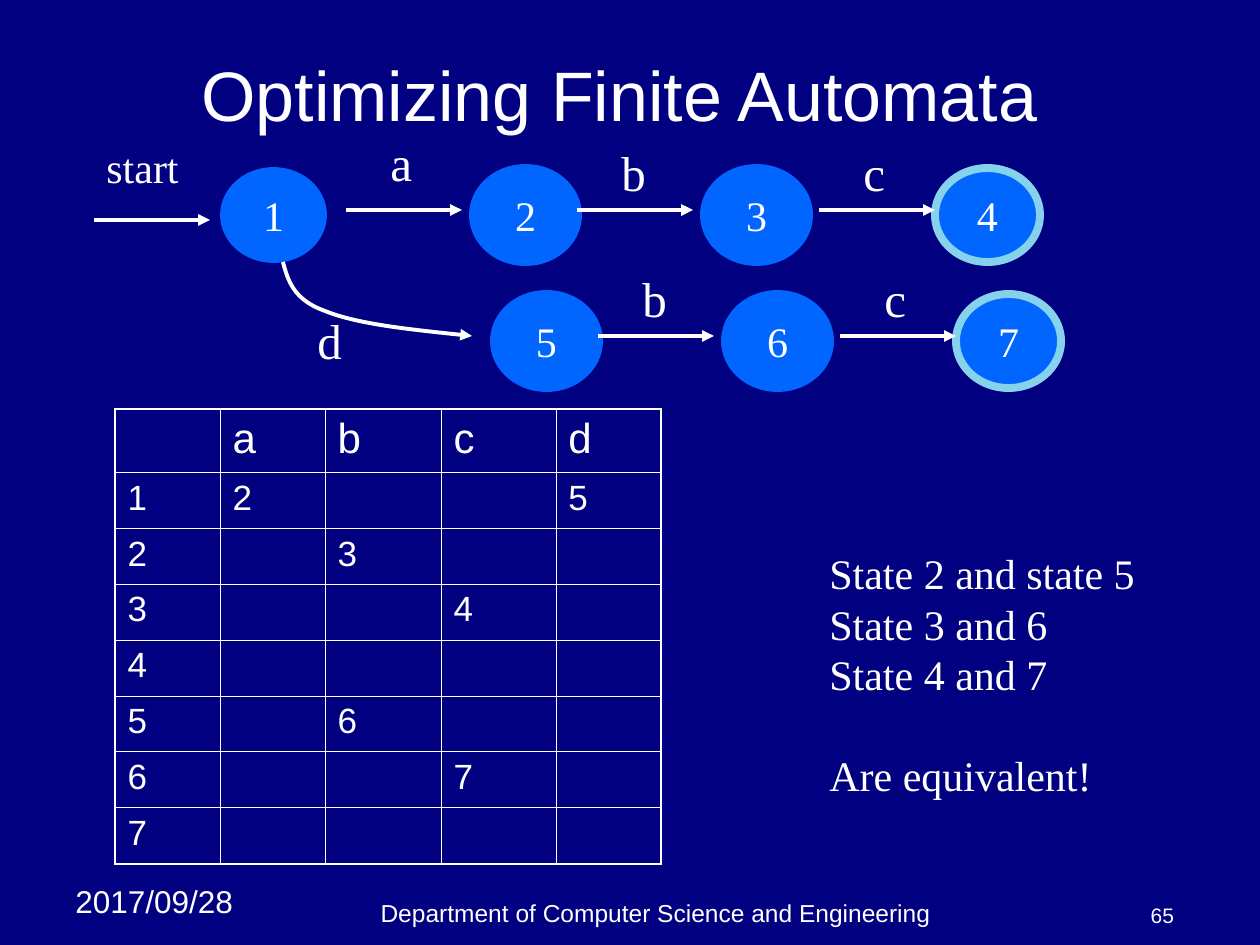
from dataclasses import dataclass
from itertools import product

from lxml.etree import SubElement
from pptx import Presentation
from pptx.dml.color import RGBColor
from pptx.enum.shapes import MSO_CONNECTOR as CONN, MSO_SHAPE as SHAPE
from pptx.enum.text import MSO_ANCHOR as ANCHOR, PP_ALIGN as ALIGN
from pptx.oxml.ns import qn
from pptx.util import Emu, Pt

EMU_PER_PX = 914400 / 126


def px(n: int) -> Emu:
    return Emu(round(n * EMU_PER_PX))


@dataclass(frozen=True)
class Theme:
    background: str = "000080"
    ink: str = "FFFFFF"
    state: str = "0066FF"
    accept: str = "86D1EC"
    sans: str = "Arial"
    serif: str = "Times New Roman"
    title: int = 40
    edge: int = 28
    body: int = 24
    cell: int = 20
    date: int = 18
    footer: int = 14
    number: int = 12
    arrow_width: float = 2.25
    state_width: float = 4.5
    outer_border: float = 1.08
    inner_border: float = 0.45


T = Theme()


@dataclass(frozen=True)
class Label:
    text: str
    x: int
    y: int
    w: int
    h: int
    size: int
    font: str = T.serif
    align: ALIGN = ALIGN.LEFT
    anchor: ANCHOR = ANCHOR.TOP
    top: int = 6
    right: int = 13


@dataclass(frozen=True)
class State:
    name: str
    x: int
    y: int
    line: str
    width: float


@dataclass(frozen=True)
class Arrow:
    x: int
    y: int
    length: int = 116


def rgb(value: str) -> RGBColor:
    return RGBColor.from_string(value)


def style(p, size: int, font: str, align: ALIGN = ALIGN.LEFT) -> None:
    p.alignment = align
    p.font.size, p.font.name = Pt(size), font
    p.font.color.rgb = rgb(T.ink)


def draw_label(shapes, label: Label):
    s = shapes.add_textbox(px(label.x), px(label.y), px(label.w), px(label.h))
    tf = s.text_frame
    tf.word_wrap, tf.vertical_anchor = True, label.anchor
    tf.margin_top, tf.margin_right = px(label.top), px(label.right)
    tf.text = label.text
    for p in tf.paragraphs:
        style(p, label.size, label.font, label.align)
    return tf


def draw_state(shapes, state: State) -> None:
    s = shapes.add_shape(SHAPE.OVAL, px(state.x), px(state.y), px(105), px(94))
    s.shadow.inherit = False
    s.fill.solid()
    s.fill.fore_color.rgb = rgb(T.state)
    s.line.color.rgb, s.line.width = rgb(state.line), Pt(state.width)
    tf = s.text_frame
    tf.word_wrap, tf.vertical_anchor = False, ANCHOR.MIDDLE
    tf.text = state.name
    style(tf.paragraphs[0], T.body, T.serif, ALIGN.CENTER)


def add_arrowhead(s) -> None:
    s.line.color.rgb, s.line.width = rgb(T.ink), Pt(T.arrow_width)
    SubElement(s.line._get_or_add_ln(), qn("a:tailEnd"), type="triangle")


def draw_arrow(shapes, arrow: Arrow) -> None:
    y = px(arrow.y)
    s = shapes.add_connector(CONN.STRAIGHT, px(arrow.x), y, px(arrow.x + arrow.length), y)
    add_arrowhead(s)
    SubElement(s._element.spPr, qn("a:effectLst"))


def draw_curve(shapes, start: tuple[int, int], points: list[tuple[int, int]]) -> None:
    """Every three points after the start make one Bezier segment."""
    builder = shapes.build_freeform(*start, scale=EMU_PER_PX)
    builder.add_line_segments(points, close=False)
    s = builder.convert_to_shape()
    s.shadow.inherit = False
    s.fill.background()
    add_arrowhead(s)
    outline = next(s._element.iter(qn("a:path")))
    lines = outline.findall(qn("a:lnTo"))
    for i in range(0, len(lines), 3):
        bezier = SubElement(outline, qn("a:cubicBezTo"))
        for line in lines[i:i + 3]:
            bezier.append(line[0])
            outline.remove(line)


def set_border(cell, side: str, width: float) -> None:
    ln = SubElement(cell._tc.get_or_add_tcPr(), qn(f"a:ln{side}"), w=str(Pt(width)))
    SubElement(SubElement(ln, qn("a:solidFill")), qn("a:srgbClr"), val=T.ink)


def draw_table(shapes, x: int, y: int, widths: list[int], heights: list[int],
               values: dict[tuple[int, int], str]) -> None:
    rows, cols = len(heights), len(widths)
    table = shapes.add_table(rows, cols, px(x), px(y), px(sum(widths)), px(sum(heights))).table
    table.first_row = table.horz_banding = False
    for column, w in zip(table.columns, widths):
        column.width = px(w)
    for row, h in zip(table.rows, heights):
        row.height = px(h)
    for r, c in product(range(rows), range(cols)):
        cell = table.cell(r, c)
        outer = {"L": c == 0, "R": c == cols - 1, "T": r == 0, "B": r == rows - 1}
        for side, is_outer in outer.items():
            set_border(cell, side, T.outer_border if is_outer else T.inner_border)
        cell.fill.background()
        cell.text = values.get((r, c), "")
        style(cell.text_frame.paragraphs[0], T.cell if r else T.body, T.sans)


def main() -> None:
    prs = Presentation()
    prs.slide_width, prs.slide_height = px(1260), px(945)
    slide = prs.slides.add_slide(prs.slide_layouts[6])
    slide.background.fill.solid()
    slide.background.fill.fore_color.rgb = rgb(T.background)
    shapes = slide.shapes

    # Title and footer
    for label in (
        Label("2017/09/28", 63, 876, 199, 50, T.date, T.sans),
        Label("Department of Computer Science and Engineering", 231, 892, 850, 42,
              T.footer, T.sans, ALIGN.CENTER, ANCHOR.BOTTOM),
        Label("65", 1103, 892, 84, 42, T.number, T.sans, ALIGN.RIGHT, ANCHOR.BOTTOM),
        Label("Optimizing Finite Automata", 63, 38, 1134, 104, T.title, T.sans,
              ALIGN.CENTER, ANCHOR.MIDDLE, top=14, right=34),
    ):
        draw_label(shapes, label)

    # Start state and its outgoing edges
    draw_state(shapes, State("1", 221, 168, T.state, 1))
    draw_arrow(shapes, Arrow(94, 220))
    draw_arrow(shapes, Arrow(346, 210))
    draw_curve(shapes, (283, 262), [(288, 281), (294, 300), (325, 311),
                                    (357, 324), (415, 330), (472, 336)])
    draw_label(shapes, Label("start", 94, 136, 97, 63, T.body, right=0))
    draw_label(shapes, Label("a", 378, 126, 53, 72, T.edge))
    draw_label(shapes, Label("d", 305, 305, 53, 72, T.edge))

    # Two parallel chains, the second shifted right and down
    for names, dx, dy in (("234", 0, 0), ("567", 21, 126)):
        for i, name in enumerate(names):
            line = T.accept if i == 2 else T.state
            draw_state(shapes, State(name, 473 + 231 * i + dx, 168 + dy, line, T.state_width))
        for i, edge in enumerate("bc"):
            draw_arrow(shapes, Arrow(577 + 242 * i + dx, 210 + dy))
            draw_label(shapes, Label(edge, 609 + 242 * i + dx, 136 + dy, 53, 72, T.edge))

    # Transition table: header letters, state numbers, then the moves
    values = {(0, c): letter for c, letter in enumerate("abcd", 1)}
    values |= {(r, 0): str(r) for r in range(1, 8)}
    values |= {(1, 1): "2", (1, 4): "5", (2, 2): "3", (3, 3): "4", (5, 2): "6", (6, 3): "7"}
    draw_table(shapes, 115, 409, [105, 105, 116, 115, 105], [63] + [56] * 7, values)

    # Conclusion
    lines = "State 2 and state 5\nState 3 and 6\nState 4 and 7\nAre equivalent!"
    tf = draw_label(shapes, Label(lines, 817, 542, 330, 265, T.body, right=0))
    for p in tf.paragraphs:
        p.line_spacing = Pt(28.8)
    tf.paragraphs[-1].space_before = Pt(28.8)

    prs.save("out.pptx")


if __name__ == "__main__":
    main()
